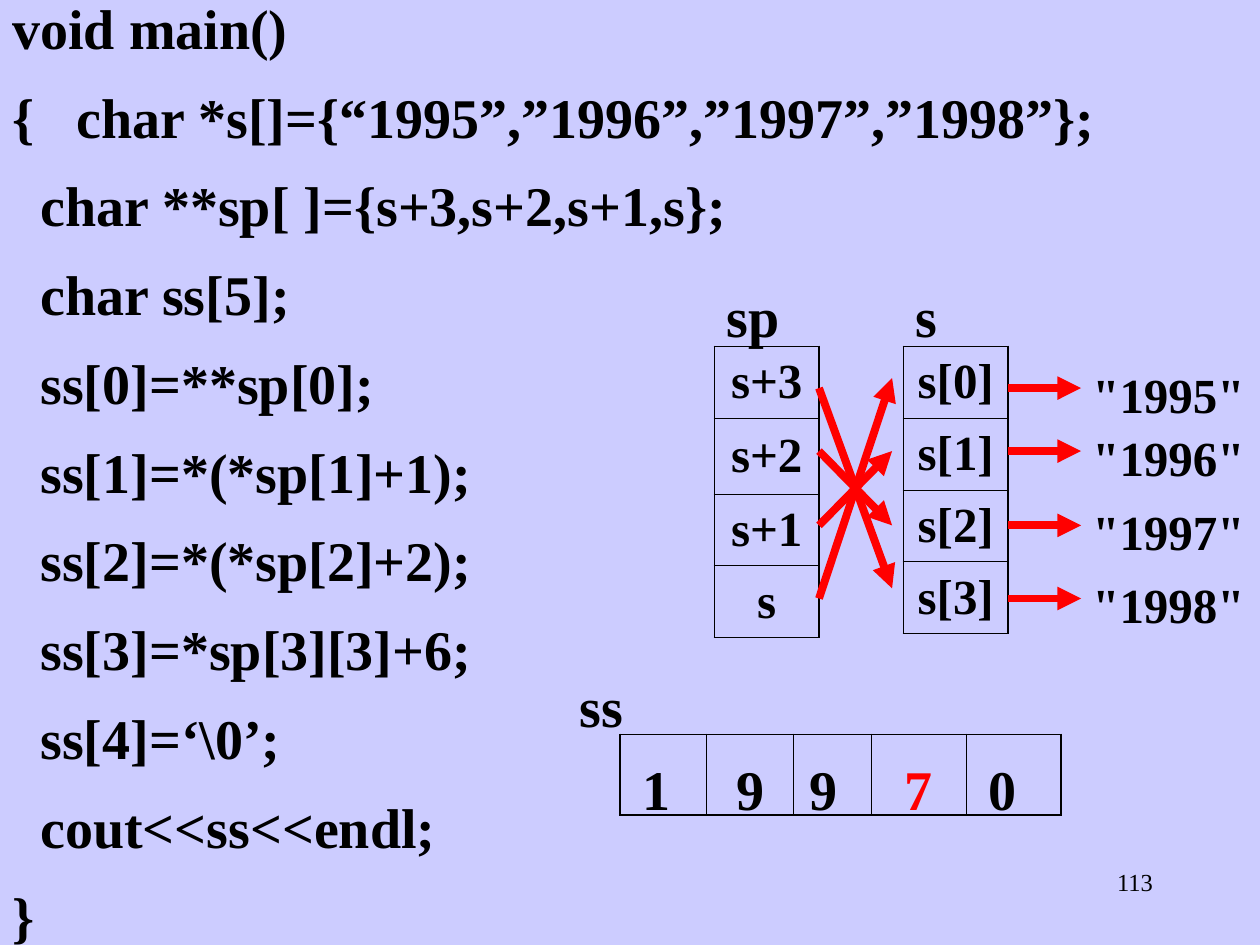
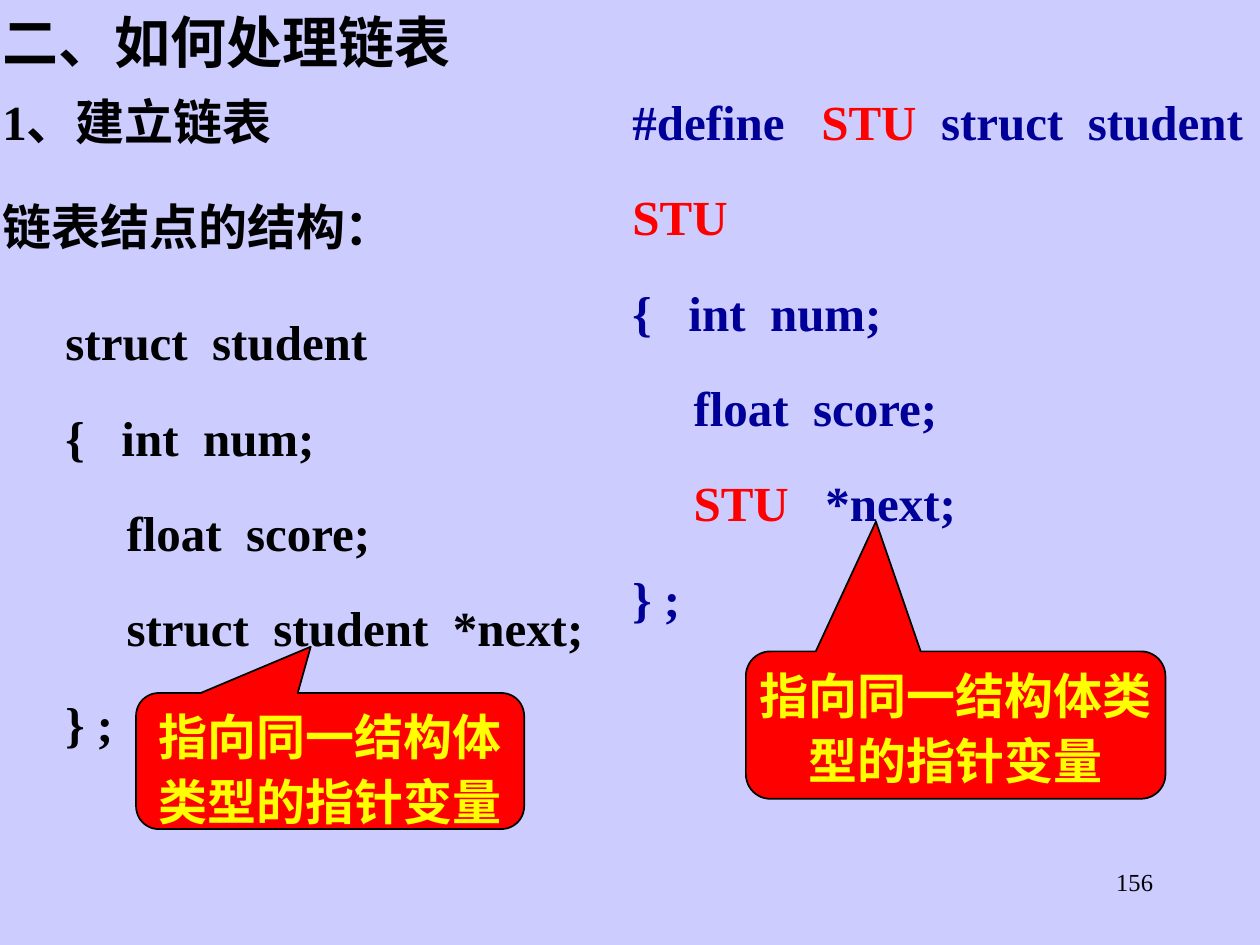
import dataclasses

import lxml.etree
import pptx
import pptx.dml.color
import pptx.enum.shapes
import pptx.enum.text
import pptx.oxml.ns
import pptx.util

Inches = pptx.util.Inches
Align = pptx.enum.text.PP_ALIGN


@dataclasses.dataclass(frozen=True)
class Theme:
    background: str = "CCCCFF"
    ink: str = "000000"
    accent: str = "FF0000"
    code: str = "000099"
    callout_text: str = "FFFF00"
    font: str = "Times New Roman"
    large: int = 32
    medium: int = 28
    small: int = 14
    arrow_width: float = 4.5
    outer_border: float = 1.08
    inner_border: float = 0.45
    wide_insets: tuple = (0.1, 0.05)
    tight_insets: tuple = (0.02, 0.01)


THEME = Theme()


def rgb(color):
    return pptx.dml.color.RGBColor.from_string(color)


def box(left, top, width, height):
    return tuple(Inches(length) for length in (left, top, width, height))


def add_element(parent, tag, **attributes):
    return lxml.etree.SubElement(parent, pptx.oxml.ns.qn(tag), attributes)


# Text
def write_text(frame, text, size=THEME.medium, color=THEME.ink, bold=True,
               align=Align.LEFT, line_spacing=1.1, space_before=17.5,
               insets=THEME.tight_insets):
    """Write lines; each line is a string or a list of (text, color) runs."""
    frame.word_wrap = True
    frame.auto_size = pptx.enum.text.MSO_AUTO_SIZE.NONE
    frame.vertical_anchor = pptx.enum.text.MSO_ANCHOR.TOP
    frame.margin_left = frame.margin_right = Inches(insets[0])
    frame.margin_top = frame.margin_bottom = Inches(insets[1])
    lines = [text] if isinstance(text, str) else text
    for index, line in enumerate(lines):
        paragraph = frame.paragraphs[0] if index == 0 else frame.add_paragraph()
        paragraph.alignment = align
        paragraph.line_spacing = line_spacing
        paragraph.space_before = pptx.util.Pt(space_before if index else 0)
        runs = [(line, color)] if isinstance(line, str) else line
        for run_text, run_color in runs:
            run = paragraph.add_run()
            run.text = run_text
            format_font(run.font, size, run_color, bold)


def format_font(font, size, color, bold):
    font.name = THEME.font
    font.size = pptx.util.Pt(size)
    font.bold = bold
    font.color.rgb = rgb(color)


def add_text(slide, text, position, **text_format):
    shape = slide.shapes.add_textbox(*box(*position))
    write_text(shape.text_frame, text, **text_format)


def add_label(slide, text, left, top, width=0.5, color=THEME.ink):
    add_text(slide, text, (left, top, width, 0.74), size=THEME.large,
             color=color, line_spacing=1.2, insets=THEME.wide_insets)


def add_page_number(slide, number):
    add_text(slide, number, (7.17, 6.83, 2.08, 0.5), size=THEME.small,
             bold=False, align=Align.RIGHT, line_spacing=1.0,
             insets=THEME.wide_insets)


def set_title(slide, text, position):
    title = slide.shapes.title
    title.left, title.top, title.width, title.height = box(*position)
    write_text(title.text_frame, text, size=THEME.large)


# Shapes and lines
def add_arrow(slide, start, end):
    points = [Inches(length) for length in (*start, *end)]
    arrow = slide.shapes.add_connector(
        pptx.enum.shapes.MSO_CONNECTOR.STRAIGHT, *points)
    arrow.line.color.rgb = rgb(THEME.accent)
    arrow.line.width = pptx.util.Pt(THEME.arrow_width)
    add_element(arrow.line._get_or_add_ln(), "a:tailEnd", type="triangle")
    add_element(arrow._element.spPr, "a:effectLst")


def add_callout(slide, text, position, pointer):
    callout = slide.shapes.add_shape(
        pptx.enum.shapes.MSO_SHAPE.ROUNDED_RECTANGULAR_CALLOUT, *box(*position))
    callout.adjustments[0], callout.adjustments[1] = pointer
    callout.shadow.inherit = False
    callout.fill.solid()
    callout.fill.fore_color.rgb = rgb(THEME.accent)
    callout.line.color.rgb = rgb(THEME.ink)
    callout.line.width = pptx.util.Pt(1)
    write_text(callout.text_frame, text, color=THEME.callout_text,
               align=Align.CENTER, insets=(0, 0.01))


# Tables
def set_borders(cell, outer_sides):
    properties = cell._tc.get_or_add_tcPr()
    for side in "LRTB":
        width = THEME.outer_border if side in outer_sides else THEME.inner_border
        line = add_element(properties, f"a:ln{side}",
                           w=str(int(pptx.util.Pt(width))))
        fill = add_element(line, "a:solidFill")
        add_element(fill, "a:srgbClr", val=THEME.ink)


def add_array(slide, left, top, rows, column_widths, row_heights):
    graphic = slide.shapes.add_table(
        len(row_heights), len(column_widths),
        *box(left, top, sum(column_widths), sum(row_heights)))
    table = graphic.table
    table.first_row = table.horz_banding = False
    for column, width in zip(table.columns, column_widths):
        column.width = Inches(width)
    last_row, last_column = len(row_heights) - 1, len(column_widths) - 1
    for row_index, values in enumerate(rows):
        table.rows[row_index].height = Inches(row_heights[row_index])
        for column_index, value in enumerate(values):
            cell = table.cell(row_index, column_index)
            edges = {"L": column_index == 0, "R": column_index == last_column,
                     "T": row_index == 0, "B": row_index == last_row}
            set_borders(cell, [side for side, outer in edges.items() if outer])
            cell.fill.background()
            cell.vertical_anchor = pptx.enum.text.MSO_ANCHOR.MIDDLE
            if value:
                paragraph = cell.text_frame.paragraphs[0]
                paragraph.alignment = Align.CENTER
                run = paragraph.add_run()
                run.text = value
                format_font(run.font, THEME.medium, THEME.ink, True)


# Slides
def build_pointer_array_slide(presentation):
    slide = presentation.slides.add_slide(presentation.slide_layouts[6])
    add_page_number(slide, "113")
    program = [
        "void main()",
        "{   char *s[]={“1995”,”1996”,”1997”,”1998”};",
        "  char **sp[ ]={s+3,s+2,s+1,s};",
        "  char ss[5];",
        "  ss[0]=**sp[0];",
        "  ss[1]=*(*sp[1]+1);",
        "  ss[2]=*(*sp[2]+2);",
        "  ss[3]=*sp[3][3]+6;",
        "  ss[4]=‘\\0’;",
        "  cout<<ss<<endl;",
        "}",
    ]
    add_text(slide, program, (0, 0, 10, 7.58), size=THEME.large,
             line_spacing=0.8, space_before=20, insets=THEME.wide_insets)

    # Array s and the strings it points to
    add_array(slide, 7.17, 2.75, [[f"s[{index}]"] for index in range(4)],
              [0.83], [0.57] * 4)
    arrow_tops = [3.08, 3.58, 4.17, 4.75]
    for year, top in zip(range(1995, 1999), arrow_tops):
        add_arrow(slide, (8, top), (8.58, top))
        add_text(slide, f'"{year}"', (8.67, top - 0.33, 1.33, 0.66),
                 line_spacing=1.2, insets=(0, 0.05))
    add_label(slide, "s", 7.17, 2.08)

    # Array sp, crossing over to s
    add_array(slide, 5.67, 2.75, [["s+3"], ["s+2"], ["s+1"], ["s"]],
              [0.83], [0.57, 0.6, 0.57, 0.57])
    for top, target in zip(arrow_tops, [4.67, 4.17, 3.58, 3]):
        add_arrow(slide, (6.5, top), (7.08, target))
    add_label(slide, "sp", 5.67, 2.08, width=0.67)

    # Array ss with its digits
    add_array(slide, 4.92, 5.83, [[""] * 5],
              [0.69, 0.69, 0.62, 0.75, 0.75], [0.64])
    add_label(slide, "ss", 4.5, 5.17, width=0.67)
    for digit, left in zip("19970", [5, 5.75, 6.33, 7.08, 7.75]):
        color = THEME.accent if digit == "7" else THEME.ink
        add_label(slide, digit, left, 5.83, color=color)


def build_linked_list_slide(presentation):
    slide = presentation.slides.add_slide(presentation.slide_layouts[5])
    set_title(slide, "二、如何处理链表", (0, 0, 6.17, 0.61))
    add_page_number(slide, "156")

    # Plain structure
    members = ["{   int  num;", "     float  score;"]
    add_text(slide, ["struct  student", *members,
                     "     struct  student  *next;", "} ;"],
             (0.5, 2.42, 4.17, 3.56))

    # Structure with a macro name
    macro = ("STU", THEME.accent)
    add_text(slide, [
        [("#define   ", THEME.code), macro, ("  struct  student", THEME.code)],
        [macro],
        *members,
        [("     ", THEME.code), macro, ("   *next;", THEME.code)],
        "} ;",
    ], (5, 0.67, 5, 5.08), color=THEME.code)

    # Headings and callouts
    add_text(slide, "链表结点的结构：", (0, 1.5, 6.33, 0.54))
    note = "指向同一结构体类型的指针变量"
    add_callout(slide, note, (1.08, 5.5, 3.08, 1.08), (-0.05, -0.84))
    add_callout(slide, note, (5.92, 5.17, 3.33, 1.17), (-0.19, -1.38))
    add_text(slide, "1、建立链表", (0, 0.67, 5, 0.54))


def main():
    presentation = pptx.Presentation()
    presentation.slide_width = Inches(10)
    presentation.slide_height = Inches(7.5)
    background = presentation.slide_master.background.fill
    background.solid()
    background.fore_color.rgb = rgb(THEME.background)
    build_pointer_array_slide(presentation)
    build_linked_list_slide(presentation)
    presentation.save("out.pptx")


if __name__ == "__main__":
    main()
